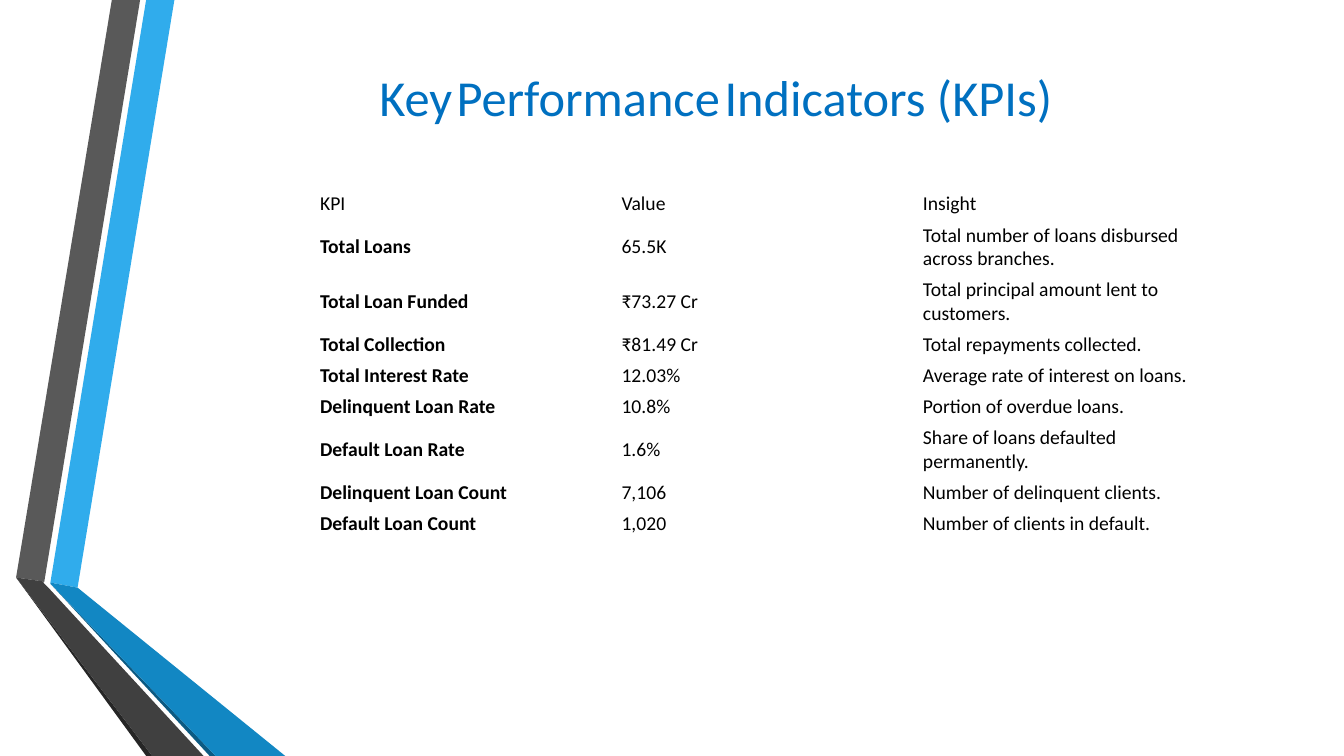
from dataclasses import dataclass

from pptx import Presentation
from pptx.dml.color import RGBColor
from pptx.enum.text import MSO_ANCHOR as Anchor, PP_ALIGN as Align
from pptx.util import Pt

PX = 9144  # EMU per px, 100 px to the inch
FONT = "Calibri"
COLORS = {
    "sky": "30ACEC", "blue": "1287C3", "navy": "0C5A82",
    "gray": "595959", "charcoal": "404040", "coal": "262626",
    "title": "0070C0", "text": "000000",
}


@dataclass(frozen=True)
class Ribbon:
    color: str
    points: tuple[tuple[int, int], ...]


@dataclass(frozen=True)
class Kpi:
    name: str
    value: str
    insight: str


RIBBONS = (
    Ribbon("sky", ((50, 578), (77, 583), (173, 0), (145, 0))),
    Ribbon("gray", ((139, 0), (111, 0), (16, 573), (44, 577))),
    Ribbon("coal", ((16, 573), (145, 750), (151, 750))),
    Ribbon("navy", ((50, 579), (208, 750), (214, 750))),
    Ribbon("blue", ((50, 579), (214, 750), (283, 750), (77, 583), (50, 578))),
    Ribbon("charcoal", ((202, 750), (48, 583), (43, 578), (44, 577),
                        (16, 573), (151, 750))),
)

KPIS = (
    Kpi("KPI", "Value", "Insight"),
    Kpi("Total Loans", "65.5K", "Total number of loans disbursed across branches."),
    Kpi("Total Loan Funded", "₹73.27 Cr", "Total principal amount lent to customers."),
    Kpi("Total Collection", "₹81.49 Cr", "Total repayments collected."),
    Kpi("Total Interest Rate", "12.03%", "Average rate of interest on loans."),
    Kpi("Delinquent Loan Rate", "10.8%", "Portion of overdue loans."),
    Kpi("Default Loan Rate", "1.6%", "Share of loans defaulted permanently."),
    Kpi("Delinquent Loan Count", "7,106", "Number of delinquent clients."),
    Kpi("Default Loan Count", "1,020", "Number of clients in default."),
)
COLUMN_WIDTH = 299
ROW_HEIGHT, TALL_ROW_HEIGHT = 30, 53
ONE_LINE_LENGTH = 35  # longest insight that stays on one line

TITLE_WORDS = ("Key", "Performance", "Indicators (KPIs)")


def add_span(para, text: str, *, size: int = 14, color: str = "text",
             bold: bool = False) -> None:
    span = para.add_run()
    span.text = text
    span.font.name = FONT
    span.font.size = Pt(size)
    span.font.bold = bold
    span.font.color.rgb = RGBColor.from_string(COLORS[color])


def draw_ribbon(page, ribbon: Ribbon) -> None:
    start, *rest = ribbon.points
    builder = page.shapes.build_freeform(*start, scale=PX)
    builder.add_line_segments(rest, close=True)
    shape = builder.convert_to_shape()
    shape.shadow.inherit = False
    shape.fill.solid()
    shape.fill.fore_color.rgb = RGBColor.from_string(COLORS[ribbon.color])
    shape.line.fill.background()


def draw_title(page) -> None:
    """Set the title words large, with narrow spaces between them."""
    box = page.shapes.add_textbox(162 * PX, 0, 1096 * PX, 192 * PX)
    frame = box.text_frame
    frame.word_wrap = True
    frame.vertical_anchor = Anchor.MIDDLE
    para = frame.paragraphs[0]
    para.alignment = Align.CENTER
    for index, word in enumerate(TITLE_WORDS):
        if index:
            add_span(para, " ")
        add_span(para, word, size=36, color="title")


def fill_cell(cell, text: str, *, bold: bool) -> None:
    cell.fill.background()
    cell.vertical_anchor = Anchor.MIDDLE
    cell.margin_left = cell.margin_right = Pt(5.4)
    cell.margin_top = cell.margin_bottom = Pt(2.7)
    add_span(cell.text_frame.paragraphs[0], text, bold=bold)


def draw_kpi_table(page) -> None:
    heights = [TALL_ROW_HEIGHT if len(kpi.insight) > ONE_LINE_LENGTH else ROW_HEIGHT
               for kpi in KPIS]
    table = page.shapes.add_table(
        len(KPIS), 3, 310 * PX, 187 * PX, 3 * COLUMN_WIDTH * PX, sum(heights) * PX
    ).table
    table.first_row = table.horz_banding = False
    for column in table.columns:
        column.width = COLUMN_WIDTH * PX
    for index, (kpi, height) in enumerate(zip(KPIS, heights)):
        table.rows[index].height = height * PX
        fill_cell(table.cell(index, 0), kpi.name, bold=index > 0)
        fill_cell(table.cell(index, 1), kpi.value, bold=False)
        fill_cell(table.cell(index, 2), kpi.insight, bold=False)


def main() -> None:
    deck = Presentation()
    deck.slide_width, deck.slide_height = 1333 * PX, 750 * PX
    page = deck.slides.add_slide(deck.slide_layouts[6])
    for ribbon in RIBBONS:
        draw_ribbon(page, ribbon)
    draw_title(page)
    draw_kpi_table(page)
    deck.save("out.pptx")


if __name__ == "__main__":
    main()
